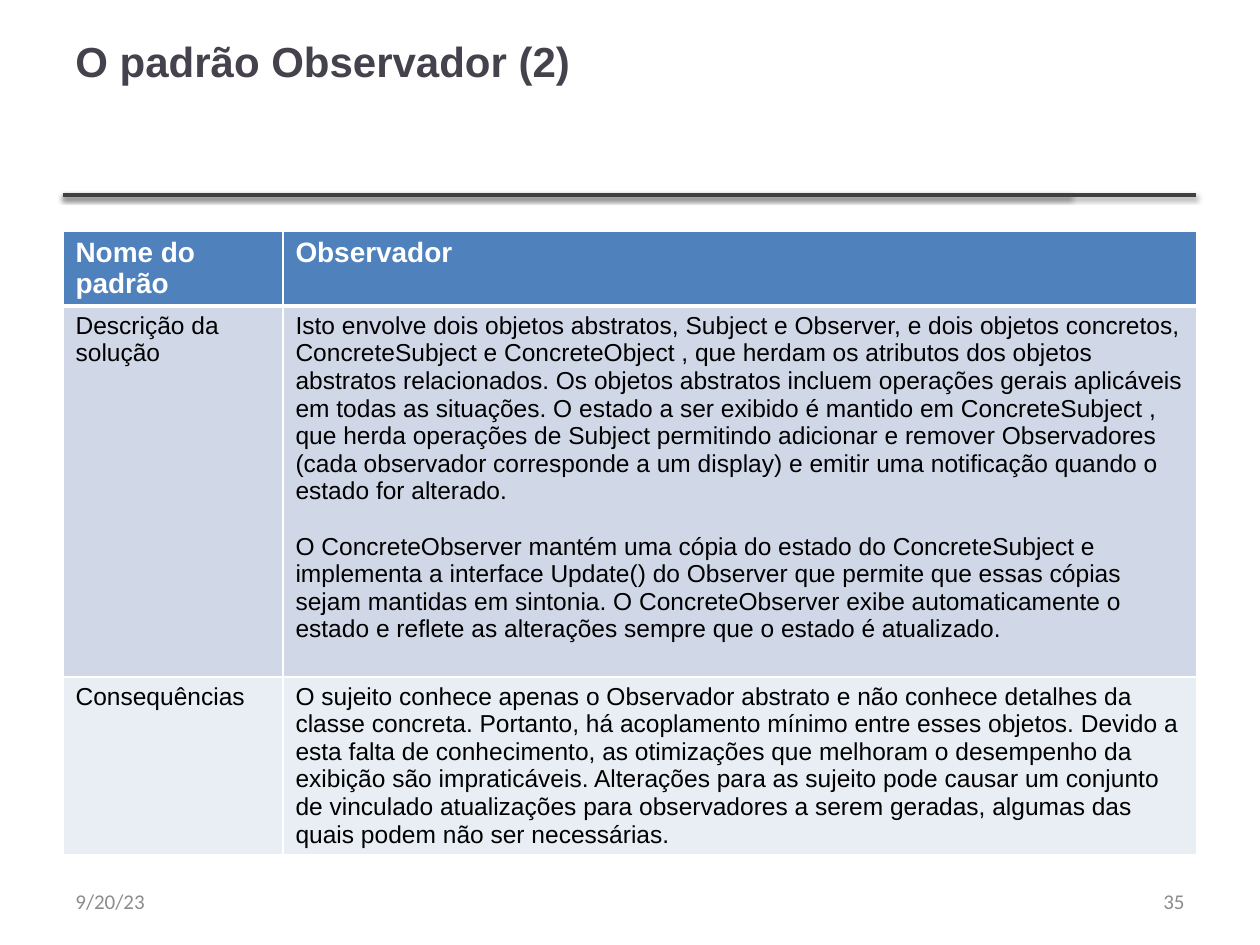
from dataclasses import dataclass

from lxml import etree
from pptx import Presentation
from pptx.dml.color import RGBColor
from pptx.enum.shapes import MSO_CONNECTOR
from pptx.enum.text import MSO_ANCHOR, PP_ALIGN
from pptx.oxml import parse_xml
from pptx.oxml.ns import nsdecls, qn
from pptx.util import Emu, Pt

STRAIGHT = MSO_CONNECTOR.STRAIGHT
MIDDLE = MSO_ANCHOR.MIDDLE
LEFT, RIGHT = PP_ALIGN.LEFT, PP_ALIGN.RIGHT

PX_PER_INCH = 126
MARGIN = 63
CONTENT_WIDTH = 1134
RULE_TOP = 195
TABLE_TOP = 231
COLUMN_WIDTHS = (220, 914)
PARAGRAPH_GAP = Pt(16)

TITLE_FORMAT = {"size": Pt(24), "name": "Arial", "bold": True}
HEADER_FORMAT = {"size": Pt(16), "name": "Arial", "bold": True}
BODY_FORMAT = {"size": Pt(14), "name": "Arial", "bold": False}
FOOTER_FORMAT = {"size": Pt(12), "name": "Calibri", "bold": False}


@dataclass
class Label:
    text: str
    left: int
    top: int
    width: int
    height: int
    format: dict
    color: str
    alignment: PP_ALIGN = LEFT


@dataclass
class PatternRow:
    name: str
    paragraphs: tuple[str, ...]
    height: int
    fill: str
    color: str
    format: dict
    top_border: int = 1
    bottom_border: int = 1


LABELS = (
    Label("O padrão Observador (2)", MARGIN, -18, CONTENT_WIDTH, 158, TITLE_FORMAT, "46424D"),
    Label("35", 903, 876, 294, 50, FOOTER_FORMAT, "8C8C8C", RIGHT),
    Label("9/20/23", MARGIN, 876, 294, 50, FOOTER_FORMAT, "8C8C8C"),
)

ROWS = (
    PatternRow("Nome do padrão", ("Observador",), 74, "4F81BD", "FFFFFF", HEADER_FORMAT,
               bottom_border=3),
    PatternRow(
        "Descrição da solução",
        (
            "Isto envolve dois objetos abstratos, Subject e Observer, e dois objetos concretos, "
            "ConcreteSubject e ConcreteObject , que herdam os atributos dos objetos abstratos "
            "relacionados. Os objetos abstratos incluem operações gerais aplicáveis em todas as "
            "situações. O estado a ser exibido é mantido em ConcreteSubject , que herda operações "
            "de Subject permitindo adicionar e remover Observadores (cada observador corresponde "
            "a um display) e emitir uma notificação quando o estado for alterado.",
            "O ConcreteObserver mantém uma cópia do estado do ConcreteSubject e implementa a "
            "interface Update() do Observer que permite que essas cópias sejam mantidas em "
            "sintonia. O ConcreteObserver exibe automaticamente o estado e reflete as alterações "
            "sempre que o estado é atualizado.",
        ),
        371, "D0D8E8", "000000", BODY_FORMAT, top_border=3,
    ),
    PatternRow(
        "Consequências",
        (
            "O sujeito conhece apenas o Observador abstrato e não conhece detalhes da classe "
            "concreta. Portanto, há acoplamento mínimo entre esses objetos. Devido a esta falta "
            "de conhecimento, as otimizações que melhoram o desempenho da exibição são "
            "impraticáveis. Alterações para as sujeito pode causar um conjunto de vinculado "
            "atualizações para observadores a serem geradas, algumas das quais podem não ser "
            "necessárias.",
        ),
        177, "E9EDF4", "000000", BODY_FORMAT,
    ),
)


def px(length: int) -> Emu:
    return Emu(round(length * 914400 / PX_PER_INCH))


def rgb(color: str) -> RGBColor:
    return RGBColor.from_string(color)


def write_text(text_frame, paragraphs, format: dict, color: str, alignment=LEFT) -> None:
    text_frame.word_wrap = True
    for index, text in enumerate(paragraphs):
        paragraph = text_frame.add_paragraph() if index else text_frame.paragraphs[0]
        paragraph.alignment = alignment
        if index:
            paragraph.space_before = PARAGRAPH_GAP
        run = paragraph.add_run()
        run.text = text
        for name, value in format.items():
            setattr(run.font, name, value)
        run.font.color.rgb = rgb(color)


def add_label(slide, label: Label) -> None:
    shape = slide.shapes.add_textbox(
        px(label.left), px(label.top), px(label.width), px(label.height))
    shape.text_frame.vertical_anchor = MIDDLE
    write_text(shape.text_frame, (label.text,), label.format, label.color, label.alignment)


def add_rule(slide, width: int) -> None:
    rule = slide.shapes.add_connector(
        STRAIGHT, px(MARGIN), px(RULE_TOP), px(MARGIN + width), px(RULE_TOP))
    rule.line.color.rgb = rgb("404040")
    rule.line.width = Pt(2)
    rule._element.spPr.append(parse_xml(
        f'<a:effectLst {nsdecls("a")}>'
        f'<a:outerShdw blurRad="{Pt(3.1)}" dist="{Pt(1.6)}" dir="5400000" rotWithShape="0">'
        '<a:srgbClr val="000000"><a:alpha val="38000"/></a:srgbClr>'
        '</a:outerShdw></a:effectLst>'))


def set_borders(cell, row: PatternRow) -> None:
    properties = cell._tc.get_or_add_tcPr()
    widths = {"lnL": 1, "lnR": 1, "lnT": row.top_border, "lnB": row.bottom_border}
    for position, (side, width) in enumerate(widths.items()):
        border = etree.Element(qn(f"a:{side}"), w=str(Pt(width)))
        fill = etree.SubElement(border, qn("a:solidFill"))
        etree.SubElement(fill, qn("a:srgbClr"), val="FFFFFF")
        properties.insert(position, border)


def add_pattern_table(slide, rows: tuple[PatternRow, ...]) -> None:
    height = sum(row.height for row in rows)
    table = slide.shapes.add_table(
        len(rows), len(COLUMN_WIDTHS), px(MARGIN), px(TABLE_TOP),
        px(CONTENT_WIDTH), px(height)).table
    for column, width in zip(table.columns, COLUMN_WIDTHS):
        column.width = px(width)
    for table_row, row in zip(table.rows, rows):
        table_row.height = px(row.height)
        for cell, paragraphs in zip(table_row.cells, ((row.name,), row.paragraphs)):
            cell.fill.solid()
            cell.fill.fore_color.rgb = rgb(row.fill)
            set_borders(cell, row)
            write_text(cell.text_frame, paragraphs, row.format, row.color)


def main() -> None:
    presentation = Presentation()
    presentation.slide_width = px(1260)
    presentation.slide_height = px(945)
    slide = presentation.slides.add_slide(presentation.slide_layouts[6])
    for width in (1007, 1133):
        add_rule(slide, width)
    add_pattern_table(slide, ROWS)
    for label in LABELS:
        add_label(slide, label)
    presentation.save("out.pptx")


if __name__ == "__main__":
    main()
